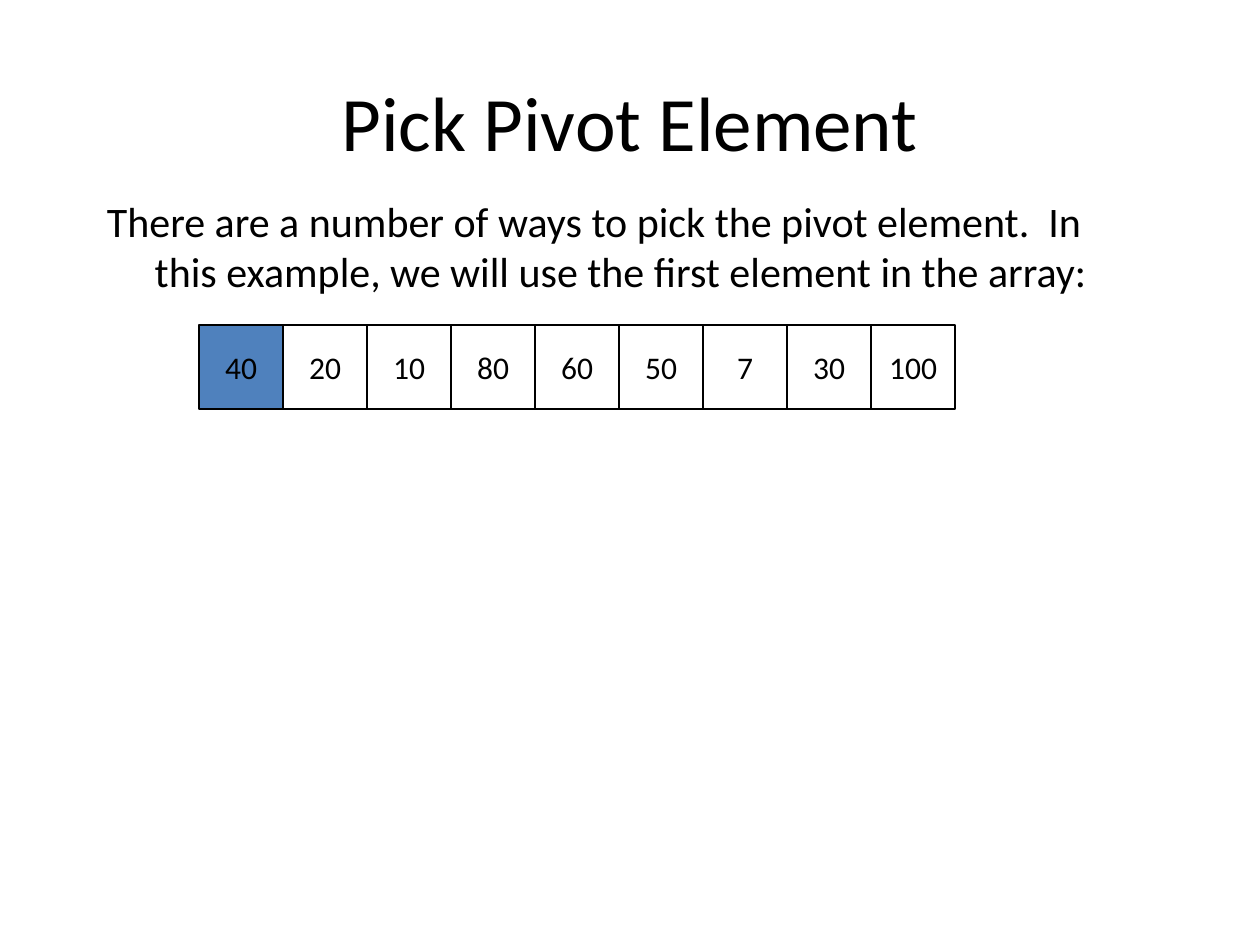
"""Build the slide that picks the pivot element of an array."""
from pptx import Presentation
from pptx.dml.color import RGBColor
from pptx.enum.shapes import MSO_SHAPE as Shape
from pptx.enum.text import MSO_ANCHOR as Anchor, PP_ALIGN as Align
from pptx.util import Inches, Pt

COLORS = {"text": "000000", "border": "000000", "pivot": "4F81BD", "cell": "FFFFFF"}


def write(holder, text, size, align=Align.CENTER, anchor=Anchor.MIDDLE, wrap=True, hanging=0):
    frame = holder.text_frame
    frame.word_wrap = wrap
    frame.vertical_anchor = anchor
    paragraph = frame.paragraphs[0]
    paragraph.text = text
    paragraph.alignment = align
    if hanging:
        properties = paragraph._p.get_or_add_pPr()
        properties.set("marL", str(Inches(hanging)))
        properties.set("indent", str(-Inches(hanging)))
    font = paragraph.runs[0].font
    font.name, font.size = "Calibri", Pt(size)
    font.color.rgb = RGBColor.from_string(COLORS["text"])


deck = Presentation()
deck.slide_width, deck.slide_height = Inches(10), Inches(7.5)
slide = deck.slides.add_slide(deck.slide_layouts[5])

margin = Inches(0.75)
content_width = deck.slide_width - 2 * margin

title = slide.shapes.title
title.left, title.top = margin, Inches(0.33)
title.width, title.height = content_width, Inches(1.25)
write(title, "Pick Pivot Element", size=44)

explanation = slide.shapes.add_textbox(margin, Inches(1.5), content_width, Inches(4.5))
write(
    explanation,
    "There are a number of ways to pick the pivot element.  "
    "In this example, we will use the first element in the array:",
    size=24, align=Align.LEFT, anchor=Anchor.TOP, hanging=0.38,
)

array = [40, 20, 10, 80, 60, 50, 7, 30, 100]
pivot_index = 0
cell_side = deck.slide_width // 15
array_left, array_top = Inches(1.58), Inches(2.58)

for index, value in enumerate(array):
    element = slide.shapes.add_shape(
        Shape.RECTANGLE, array_left + index * cell_side, array_top, cell_side, cell_side
    )
    element.shadow.inherit = False
    element.fill.solid()
    fill_name = "pivot" if index == pivot_index else "cell"
    element.fill.fore_color.rgb = RGBColor.from_string(COLORS[fill_name])
    element.line.color.rgb = RGBColor.from_string(COLORS["border"])
    element.line.width = Pt(0.75)
    write(element, str(value), size=18, wrap=False)

deck.save("out.pptx")
